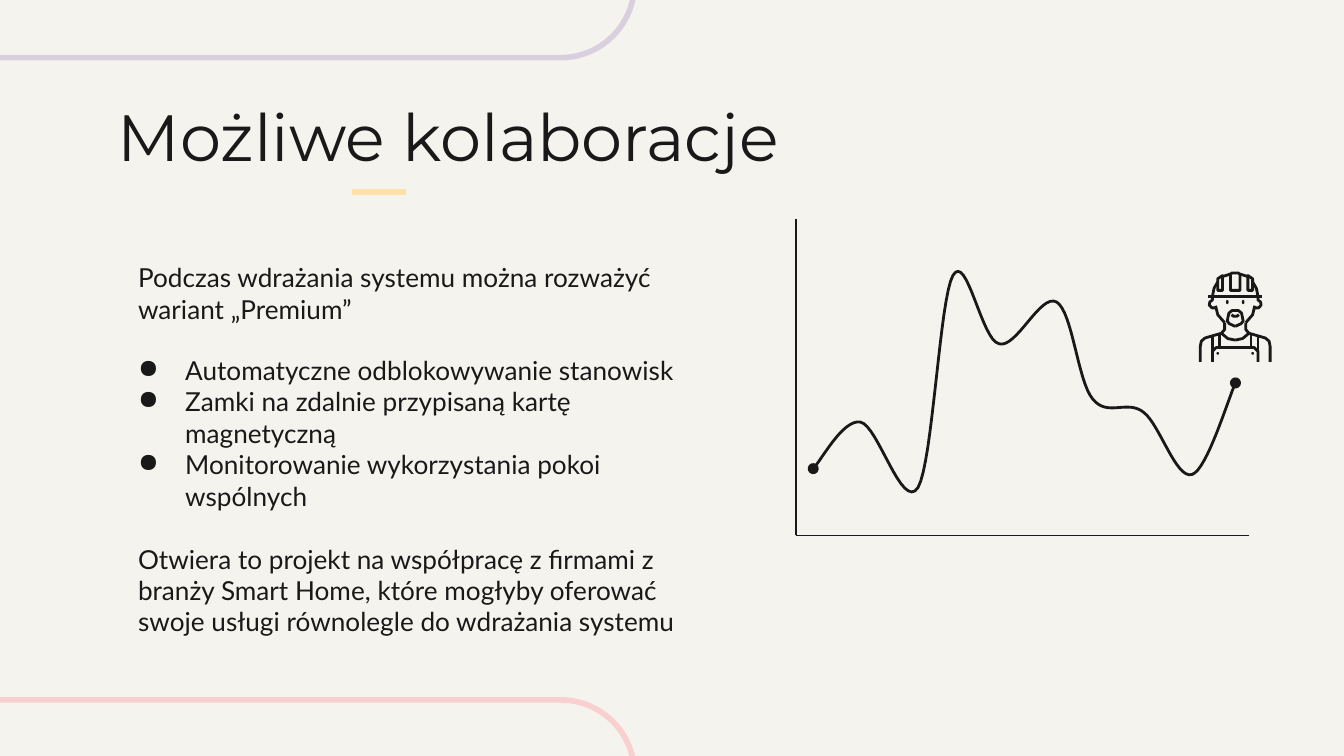
from lxml import etree
from pptx import Presentation
from pptx.dml.color import RGBColor
from pptx.enum import shapes as sh, text as tx
from pptx.oxml.ns import qn
from pptx.util import Cm, Pt

INK = RGBColor(0x19, 0x19, 0x19)
PAPER = RGBColor(0xF5, 0xF3, 0xED)
LILAC = RGBColor(0xD9, 0xCF, 0xDE)
PINK = RGBColor(0xF9, 0xCF, 0xD0)
SAND = RGBColor(0xFF, 0xE0, 0xA7)

INTRO = "Podczas wdrażania systemu można rozważyć wariant „Premium”"
ITEMS = [
    "Automatyczne odblokowywanie stanowisk",
    "Zamki na zdalnie przypisaną kartę magnetyczną",
    "Monitorowanie wykorzystania pokoi wspólnych",
]
CLOSING = ("Otwiera to projekt na współpracę z firmami z branży Smart Home, "
           "które mogłyby oferować swoje usługi równolegle do wdrażania systemu")

# Bezier curve in cm: a start, then two handles and an end per piece
START = (0.33, 4.72)
PIECES = [
    [(0.48, 4.57), (0.89, 3.78), (1.22, 3.84)],
    [(1.55, 3.89), (2.01, 5.54), (2.31, 5.08)],
    [(2.59, 4.6), (2.72, 1.5), (2.97, 1.07)],
    [(3.23, 0.61), (3.51, 2.29), (3.84, 2.36)],
    [(4.17, 2.46), (4.62, 1.4), (4.93, 1.57)],
    [(5.23, 1.75), (5.33, 3.07), (5.61, 3.4)],
    [(5.89, 3.76), (6.27, 3.4), (6.58, 3.66)],
    [(6.88, 3.89), (7.19, 4.93), (7.49, 4.83)],
    [(7.77, 4.75), (8.18, 3.38), (8.31, 3.1)],
]

# Right half of the worker in cm from the middle of the top edge
WORKER = [
    [(0, 0.03), (0.06, 0.03), (0.09, 0.06), (0.09, 0.36), (0, 0.36)],
    [(0.09, 0.05), (0.24, 0.1)],
    [(0.24, 0.36), (0.24, 0.08), (0.33, 0.14), (0.33, 0.36), (0.24, 0.36)],
    [(0.33, 0.2), (0.4, 0.32), (0.43, 0.47)],
    [(0, 0.47), (0.51, 0.47)],
    [(0.43, 0.47), (0.43, 0.54), (0.48, 0.58), (0.49, 0.64), (0.44, 0.69), (0.37, 0.69)],
    [(0.37, 0.65), (0.33, 0.82), (0.2, 0.97)],
    [(0, 0.74), (0.06, 0.74), (0.12, 0.79), (0.15, 0.94), (0.11, 0.99), (0, 1.04)],
    [(0.07, 0.82), (0.03, 0.85), (0, 0.85)],
    [(0.2, 0.97), (0.2, 1.1), (0.26, 1.17), (0.57, 1.26), (0.64, 1.32), (0.66, 1.42), (0.66, 1.71)],
    [(0.26, 1.17), (0.14, 1.27), (0, 1.3)],
    [(0.3, 1.19), (0.3, 1.44)],
    [(0, 1.44), (0.36, 1.44), (0.43, 1.51), (0.43, 1.71)],
    [(0.43, 1.23), (0.43, 1.51)],
]
DOTS = [(0.15, 0.58, 0.05, 0.08), (0.33, 1.55, 0.05, 0.05)]  # x, y, width, height


def stroke(shape, color, width):
    shape.line.color.rgb = color
    shape.line.width = Pt(width)


def rule(slide, x1, y1, x2, y2, color, width):
    line = slide.shapes.add_connector(
        sh.MSO_CONNECTOR.STRAIGHT, Cm(x1), Cm(y1), Cm(x2), Cm(y2))
    stroke(line, color, width)
    etree.SubElement(line._element.spPr, qn("a:effectLst"))


def trace(slide, x, y, lines, width):
    """Draw open polylines as one unfilled outline, relative to (x, y)."""
    paths = [[(Cm(x + px), Cm(y + py)) for px, py in line] for line in lines]
    pen = slide.shapes.build_freeform(*paths[0][0])
    for n, pts in enumerate(paths):
        if n:
            pen.move_to(*pts[0])
        pen.add_line_segments(pts[1:], close=False)
    shape = pen.convert_to_shape()
    shape.fill.background()
    shape.shadow.inherit = False
    stroke(shape, INK, width)
    return shape


def font(par, name, size):
    for run in par.runs:
        run.font.name = name
        run.font.size = Pt(size)
        run.font.color.rgb = INK


def band(slide, x, y, w, h, color):
    shape = slide.shapes.add_shape(
        sh.MSO_SHAPE.ROUNDED_RECTANGLE, Cm(x), Cm(y), Cm(w), Cm(h))
    shape.adjustments[0] = 0.5
    shape.fill.background()
    shape.shadow.inherit = False
    stroke(shape, color, 3)


def inset(frame):
    frame.word_wrap = True
    frame.auto_size = tx.MSO_AUTO_SIZE.NONE
    frame.margin_left = frame.margin_right = Cm(0.25)
    frame.margin_top = frame.margin_bottom = Cm(0.25)


def head(slide, x, y, w, h):
    title = slide.shapes.title
    title.left, title.top, title.width, title.height = Cm(x), Cm(y), Cm(w), Cm(h)
    frame = title.text_frame
    inset(frame)
    frame.vertical_anchor = tx.MSO_ANCHOR.BOTTOM
    frame.text = "Możliwe kolaboracje"
    frame.paragraphs[0].alignment = tx.PP_ALIGN.LEFT
    font(frame.paragraphs[0], "Montserrat", 35)
    rule(slide, x + 4.67, y + h + 0.07, x + 5.69, y + h + 0.07, SAND, 3)


def indent(par, left, first, bullet=None):
    props = par._p.get_or_add_pPr()
    props.set("marL", str(Cm(left)))
    props.set("indent", str(Cm(first)))
    if bullet:
        etree.SubElement(props, qn("a:buChar")).set("char", bullet)


def body(slide, x, y, w, h):
    frame = slide.shapes.add_textbox(Cm(x), Cm(y), Cm(w), Cm(h)).text_frame
    inset(frame)
    frame.text = "\n".join([INTRO, *ITEMS, CLOSING])
    pars = frame.paragraphs
    for par in pars:
        font(par, "Lato", 14)
    pars[1].space_before = Pt(16)
    pars[-1].space_before = Pt(17)
    for par in (pars[0], pars[-1]):
        indent(par, 0.38, 0)
    for par in pars[1:-1]:
        indent(par, 1.27, -0.89, "●")


def bezier(start, pieces, steps=16):
    pts = [start]
    for b, c, d in pieces:
        a = pts[-1]
        for t in (n / steps for n in range(1, steps + 1)):
            s = 1 - t
            pts.append(tuple(
                s**3 * i + 3 * s * s * t * j + 3 * s * t * t * k + t**3 * m
                for i, j, k, m in zip(a, b, c, d)))
    return pts


def graph(slide, x, y, w, h):
    curve = trace(slide, x, y, [bezier(START, PIECES)], 1.5)
    ln = curve.line._get_or_add_ln()
    for end in ("a:headEnd", "a:tailEnd"):
        etree.SubElement(ln, qn(end)).set("type", "oval")
    rule(slide, x, y, x, y + h, INK, 0.75)
    rule(slide, x, y + h, x + w, y + h, INK, 0.75)


def worker(slide, x, y, w):
    mid = x + w / 2
    lines = [[(side * px, py) for px, py in line]
             for line in WORKER for side in (1, -1)]
    trace(slide, mid, y, lines, 1.5)
    for px, py, dw, dh in DOTS:
        for side in (1, -1):
            dot = slide.shapes.add_shape(
                sh.MSO_SHAPE.OVAL, Cm(mid + side * px - dw / 2),
                Cm(y + py - dh / 2), Cm(dw), Cm(dh))
            dot.fill.solid()
            dot.fill.fore_color.rgb = INK
            dot.line.fill.background()
            dot.shadow.inherit = False


def main():
    deck = Presentation()
    deck.slide_width, deck.slide_height = Cm(25.4), Cm(14.29)
    slide = deck.slides.add_slide(deck.slide_layouts[5])
    slide.background.fill.solid()
    slide.background.fill.fore_color.rgb = PAPER
    for y, color in ((-1.7, LILAC), (13.23, PINK)):
        band(slide, -3.63, y, 15.62, 2.79, color)
    head(slide, 1.98, 1.96, 13.06, 1.6)
    body(slide, 1.98, 4.7, 11.63, 5.69)
    graph(slide, 15.04, 4.14, 8.57, 5.98)
    worker(slide, 22.66, 5.13, 1.37)
    deck.save("out.pptx")


if __name__ == "__main__":
    main()
